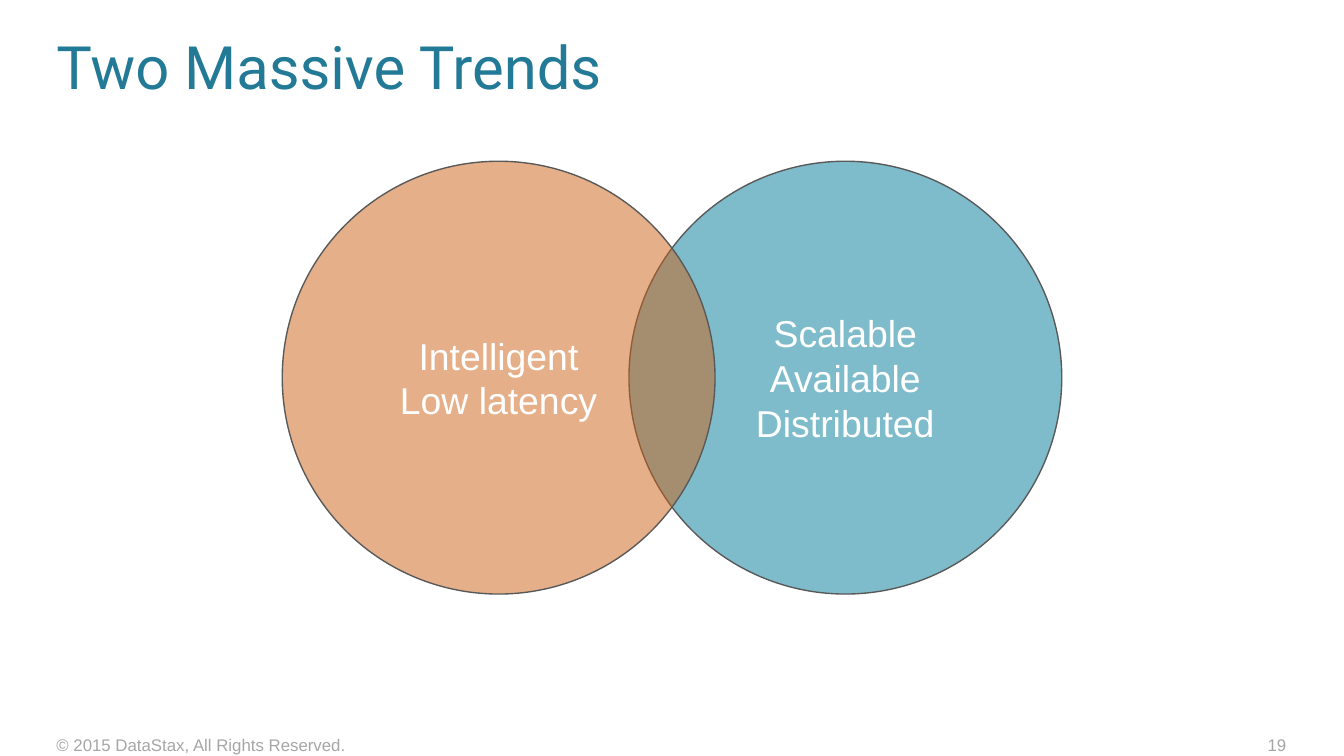
"""Build a slide with a two-circle Venn diagram of massive trends."""
from lxml import etree
from pptx import Presentation
from pptx.dml.color import RGBColor
from pptx.enum import shapes, text
from pptx.oxml import ns
from pptx.util import Inches, Pt


def color(value):
    return RGBColor.from_string(value)


def write_lines(frame, lines, size, font, ink, align):
    frame.word_wrap = True
    for index, line in enumerate(lines):
        para = frame.paragraphs[0] if index == 0 else frame.add_paragraph()
        para.alignment = align
        span = para.add_run()
        span.text = line
        span.font.size = Pt(size)
        span.font.name = font
        span.font.color.rgb = color(ink)


deck = Presentation()
deck.slide_width = Inches(10)
deck.slide_height = Inches(10) * 9 // 16
page = deck.slides.add_slide(deck.slide_layouts[6])

left, center, right = text.PP_ALIGN.LEFT, text.PP_ALIGN.CENTER, text.PP_ALIGN.RIGHT
labels = [
    ("Two Massive Trends", (0.42, 0.22, 8.25, 0.57), 0.1, 32, "Roboto", "237A97", left),
    ("© 2015 DataStax, All Rights Reserved.", (0.42, 5.47, 3.83, 0.3), 0.1, 9, "Arial", "A6A6A6", left),
    ("19", (7.4, 5.47, 2.17, 0.3), 0, 9, "Arial", "A6A6A6", right),
]
for words, place, inset, size, font, ink, align in labels:
    box = page.shapes.add_textbox(*map(Inches, place))
    frame = box.text_frame
    frame.margin_left = frame.margin_top = frame.margin_bottom = 0
    frame.margin_right = Inches(inset)
    write_lines(frame, [words], size, font, ink, align)

venn = page.shapes.add_group_shape()
diameter = Inches(3.22)
trends = [
    (4.68, "007B98", ["Scalable", "Available", "Distributed"]),
    (2.1, "CB6015", ["Intelligent", "Low latency"]),
]
for x, fill, lines in trends:
    circle = venn.shapes.add_shape(
        shapes.MSO_SHAPE.OVAL, Inches(x), Inches(1.2), diameter, diameter)
    circle.shadow.inherit = False
    circle.fill.solid()
    circle.fill.fore_color.rgb = color(fill)
    tint = circle.fill._xPr.find(ns.qn("a:solidFill"))[0]
    etree.SubElement(tint, ns.qn("a:alpha"), val="50000")
    circle.line.color.rgb = color("595959")
    circle.line.width = Pt(0.75)
    circle.text_frame.vertical_anchor = text.MSO_ANCHOR.MIDDLE
    write_lines(circle.text_frame, lines, 20, "Arial", "FFFFFF", center)

deck.save("out.pptx")
